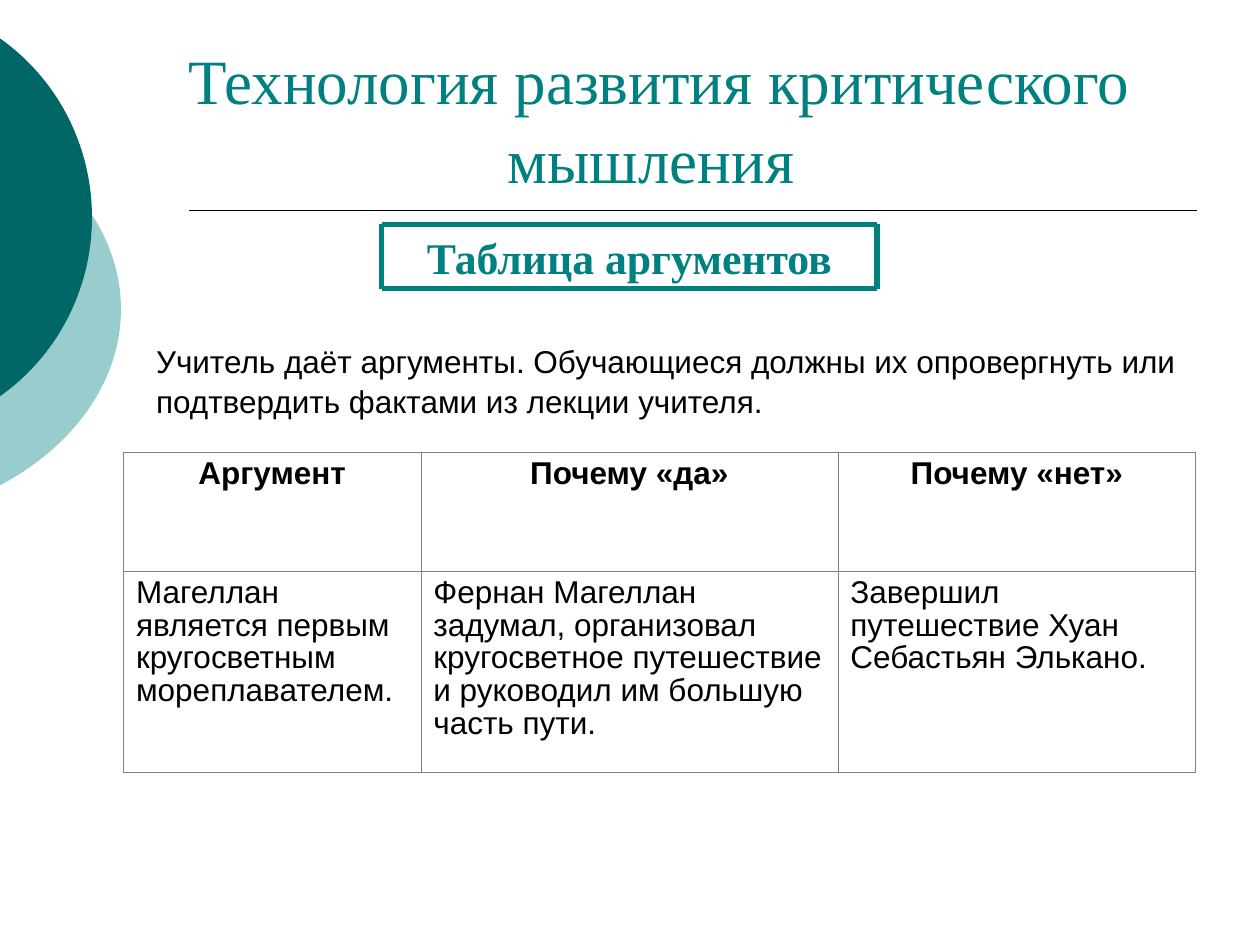
from dataclasses import dataclass

from lxml.etree import SubElement
from pptx import Presentation
from pptx.dml.color import RGBColor
from pptx.enum.shapes import MSO_CONNECTOR, MSO_SHAPE
from pptx.enum.text import MSO_ANCHOR, MSO_AUTO_SIZE, PP_ALIGN
from pptx.oxml.ns import qn
from pptx.util import Inches, Pt


@dataclass(frozen=True)
class Theme:
    teal: str = "008080"
    dark_teal: str = "006666"
    pale_teal: str = "99CCCC"
    black: str = "000000"
    white: str = "FFFFFF"
    grid: str = "808080"
    serif: str = "Times New Roman"
    sans: str = "Arial"
    title_size: float = 36
    heading_size: float = 25
    body_size: float = 18
    outer_border: float = 0.96
    inner_border: float = 0.06


@dataclass(frozen=True)
class Box:
    left: float
    top: float
    width: float
    height: float

    def lengths(self) -> tuple:
        return tuple(map(Inches, (self.left, self.top, self.width, self.height)))


@dataclass(frozen=True)
class Disc:
    box: Box
    color: str


@dataclass(frozen=True)
class Rule:
    start: tuple[float, float]
    end: tuple[float, float]
    color: str
    weight: float


THEME = Theme()
TITLE = Box(0.98, 0, 8.5, 1.61)
HEADING = Box(3.03, 1.78, 3.93, 0.51)
TASK = Box(1.14, 2.65, 8.51, 1)
ARGUMENTS = Box(0.98, 3.59, 8.51, 2.54)
COLUMN_WIDTHS = (2.36, 3.31, 2.84)
ROW_HEIGHTS = (0.94, 1.6)
ROWS = (
    ("Аргумент", "Почему «да»", "Почему «нет»"),
    (
        "Магеллан является первым кругосветным мореплавателем.",
        "Фернан Магеллан задумал, организовал кругосветное путешествие и руководил им большую часть пути.",
        "Завершил путешествие Хуан Себастьян Элькано.",
    ),
)
DISCS = (
    Disc(Box(-3.54, 0.75, 4.5, 3.41), THEME.pale_teal),
    Disc(Box(-2.65, 0, 3.38, 3.45), THEME.dark_teal),
)


def write_text(frame, text: str, *, size: float = THEME.body_size, font: str = THEME.sans,
               color: str = THEME.black, bold: bool = False, align=PP_ALIGN.LEFT,
               anchor=MSO_ANCHOR.TOP, spacing: float = 1.0, before: float = 0) -> None:
    frame.word_wrap = True
    frame.vertical_anchor = anchor
    paragraph = frame.paragraphs[0]
    paragraph.alignment = align
    paragraph.line_spacing = spacing
    paragraph.space_before = Pt(before)
    run = paragraph.add_run()
    run.text = text
    run.font.size = Pt(size)
    run.font.name = font
    run.font.bold = bold
    run.font.color.rgb = RGBColor.from_string(color)


def draw_filled(slide, kind, box: Box, color: str):
    shape = slide.shapes.add_shape(kind, *box.lengths())
    shape.shadow.inherit = False
    shape.fill.solid()
    shape.fill.fore_color.rgb = RGBColor.from_string(color)
    shape.line.fill.background()
    return shape


def draw_rule(slide, rule: Rule) -> None:
    connector = slide.shapes.add_connector(
        MSO_CONNECTOR.STRAIGHT, *map(Inches, rule.start + rule.end))
    connector.line.color.rgb = RGBColor.from_string(rule.color)
    connector.line.width = Pt(rule.weight)
    SubElement(connector._element.spPr, qn("a:effectLst"))


def draw_heading(slide, box: Box) -> None:
    heading = draw_filled(slide, MSO_SHAPE.RECTANGLE, box, THEME.white)
    write_text(heading.text_frame, "Таблица аргументов", size=THEME.heading_size,
               font=THEME.serif, color=THEME.teal, bold=True, align=PP_ALIGN.CENTER, before=6.2)
    right, bottom = box.left + box.width, box.top + box.height
    corners = ((box.left, box.top), (right, box.top), (right, bottom), (box.left, bottom))
    for start, end in zip(corners, corners[1:] + corners[:1]):
        draw_rule(slide, Rule(start, end, THEME.teal, 3))


def set_borders(cell, outer_sides: dict[str, bool]) -> None:
    properties = cell._tc.get_or_add_tcPr()
    for index, (side, is_outer) in enumerate(outer_sides.items()):
        weight = THEME.outer_border if is_outer else THEME.inner_border
        border = properties.makeelement(qn(f"a:{side}"), {"w": str(int(Pt(weight)))})
        fill = SubElement(border, qn("a:solidFill"))
        SubElement(fill, qn("a:srgbClr"), val=THEME.grid)
        properties.insert(index, border)


def draw_arguments(slide, box: Box) -> None:
    table = slide.shapes.add_table(len(ROWS), len(COLUMN_WIDTHS), *box.lengths()).table
    for column, width in zip(table.columns, COLUMN_WIDTHS):
        column.width = Inches(width)
    for row, height in zip(table.rows, ROW_HEIGHTS):
        row.height = Inches(height)
    for row_index, texts in enumerate(ROWS):
        is_header = row_index == 0
        for column_index, text in enumerate(texts):
            cell = table.cell(row_index, column_index)
            cell.fill.solid()
            cell.fill.fore_color.rgb = RGBColor.from_string(THEME.white)
            write_text(cell.text_frame, text, bold=is_header, spacing=0.93,
                       align=PP_ALIGN.CENTER if is_header else PP_ALIGN.LEFT)
            set_borders(cell, {
                "lnL": column_index == 0,
                "lnR": column_index == len(texts) - 1,
                "lnT": is_header,
                "lnB": row_index == len(ROWS) - 1,
            })


def main() -> None:
    presentation = Presentation()
    presentation.slide_width, presentation.slide_height = Inches(10), Inches(7.5)
    slide = presentation.slides.add_slide(presentation.slide_layouts[5])

    for disc in DISCS:
        draw_filled(slide, MSO_SHAPE.OVAL, disc.box, disc.color)
    draw_rule(slide, Rule((1.5, 1.67), (9.5, 1.67), THEME.black, 1))

    title = slide.shapes.title
    title.left, title.top, title.width, title.height = TITLE.lengths()
    title.text_frame.auto_size = MSO_AUTO_SIZE.NONE
    write_text(title.text_frame, "Технология развития критического мышления ",
               size=THEME.title_size, font=THEME.serif, color=THEME.teal,
               align=PP_ALIGN.CENTER, anchor=MSO_ANCHOR.BOTTOM, spacing=1.05)

    draw_heading(slide, HEADING)
    task = slide.shapes.add_textbox(*TASK.lengths())
    write_text(task.text_frame,
               "Учитель даёт аргументы. Обучающиеся должны их опровергнуть или "
               "подтвердить фактами из лекции учителя.", spacing=1.05)
    draw_arguments(slide, ARGUMENTS)
    presentation.save("out.pptx")


if __name__ == "__main__":
    main()
